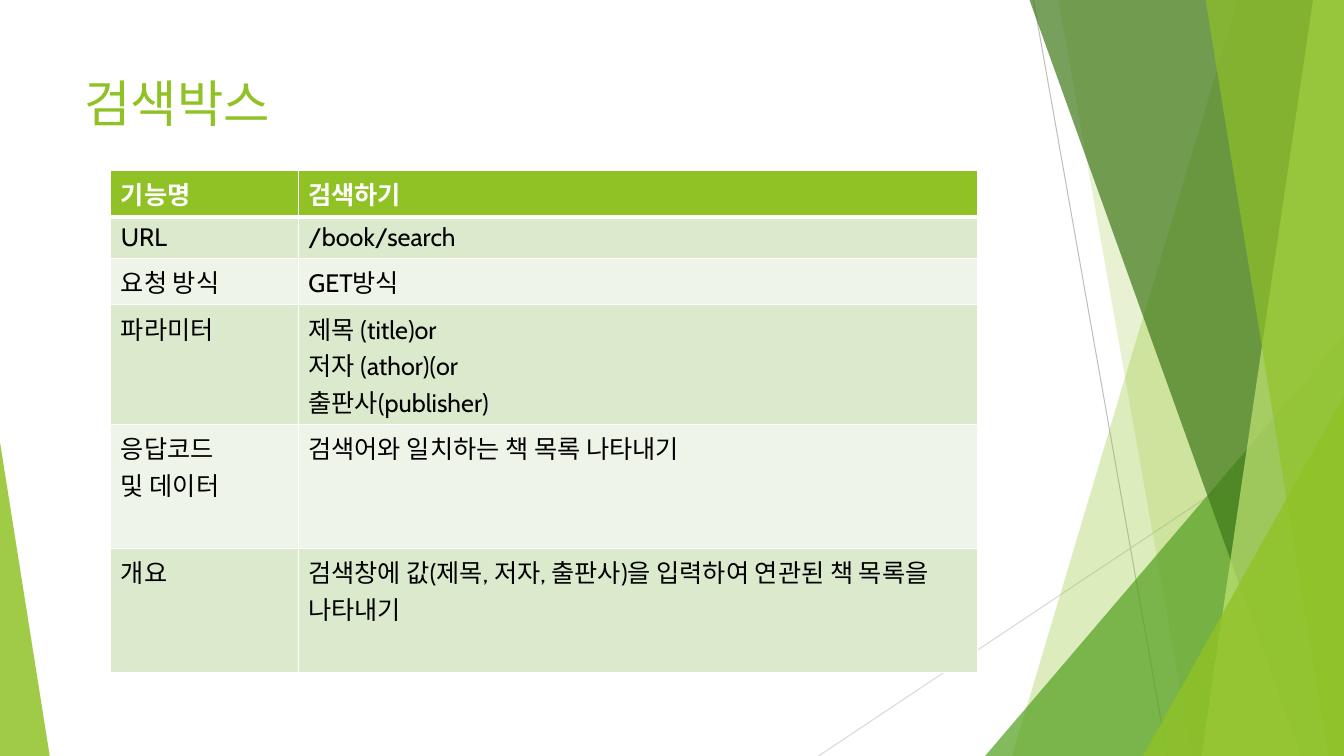
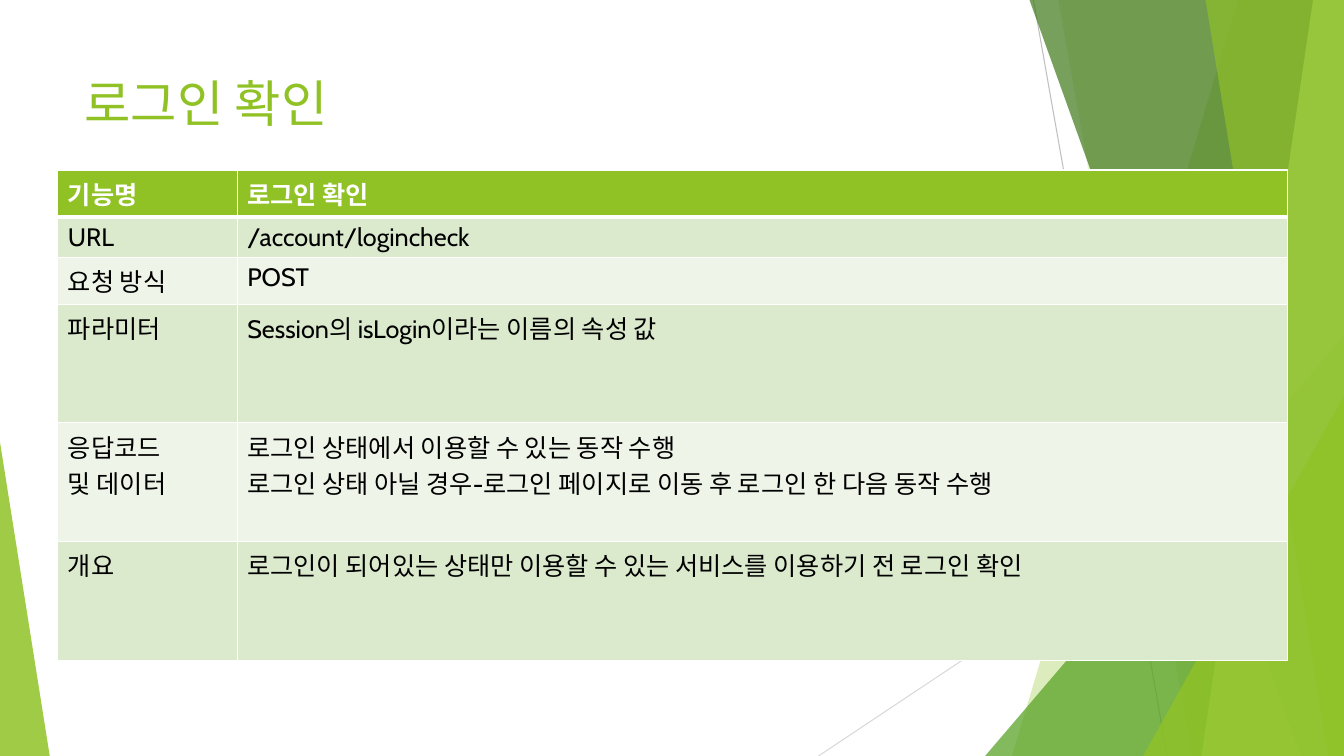
import pptx
import pptx.util
import pptx.dml.color
import pptx.enum.shapes
import pptx.oxml
import pptx.oxml.ns
import lxml.etree

hues = {
    "lime": "90C226", "leaf": "54A021", "pine": "3F7819", "mint": "C0E474",
    "dark": "DBE9CD", "pale": "EEF4E8", "white": "FFFFFF", "black": "000000",
    "grey": "BFBFBF", "mist": "D9D9D9",
}
rgb = {name: pptx.dml.color.RGBColor.from_string(code) for name, code in hues.items()}

deck = pptx.Presentation()
deck.slide_width = pptx.util.Inches(13.333)
deck.slide_height = pptx.util.Inches(7.5)
col = deck.slide_width / 100
row = deck.slide_height / 100

styles = {
    "title": {"name": "Cabin", "size": pptx.util.Pt(36), "bold": False},
    "head": {"name": "Cabin", "size": pptx.util.Pt(18), "bold": True},
    "body": {"name": "Cabin", "size": pptx.util.Pt(18), "bold": False},
}

lines = [
    (76.9, 0, 86.85, 100, "grey"),
    (100, 53.7, 60.9, 100, "mist"),
]
bands = [
    ("slant", 92.1, 75.3, "lime", 30),
    ("slant", 78.75, 88.7, "lime", 20),
    ("wedge", (73.3, 44.4, 26.7, 55.6), 1, "leaf", 72),
    ("slant", 76.6, 96.8, "pine", 70),
    ("slant", 97.7, 89.4, "mint", 70),
    ("slant", 89.7, 98.85, "lime", 65),
    ("wedge", (85.05, 52.4, 14.95, 47.6), 1, "lime", 80),
    ("wedge", (0, 58.5, 3.7, 41.5), 0, "lime", 85),
]

labels = ["기능명", "URL", "요청 방식", "파라미터", "응답코드\n및 데이터", "개요"]
pages = [
    {
        "title": "검색박스",
        "left": 8.25,
        "cols": [13.95, 50.55],
        "rows": [5.5, 5.5, 5.6, 14.4, 16.4, 16.4],
        "texts": [
            "검색하기",
            "/book/search",
            "GET방식",
            "제목 (title)or\n저자 (athor)(or\n출판사(publisher)",
            "검색어와 일치하는 책 목록 나타내기",
            "검색창에 값(제목, 저자, 출판사)을 입력하여 연관된 책 목록을 나타내기",
        ],
    },
    {
        "title": "로그인 확인",
        "left": 4.3,
        "cols": [13.35, 78.15],
        "rows": [5.2, 5.2, 5.2, 15.7, 15.7, 15.7],
        "texts": [
            "로그인 확인",
            "/account/logincheck",
            "POST",
            "Session의 isLogin이라는 이름의 속성 값",
            "로그인 상태에서 이용할 수 있는 동작 수행\n"
            "로그인 상태 아닐 경우-로그인 페이지로 이동 후 로그인 한 다음 동작 수행",
            "로그인이 되어있는 상태만 이용할 수 있는 서비스를 이용하기 전 로그인 확인",
        ],
    },
]


def place(left, top, width, height):
    return round(left * col), round(top * row), round(width * col), round(height * row)


def write(frame, text, style, hue):
    frame.text = text
    for para in frame.paragraphs:
        for key, value in styles[style].items():
            setattr(para.font, key, value)
        para.font.color.rgb = rgb[hue]


for page in pages:
    slide = deck.slides.add_slide(deck.slide_layouts[6])
    shapes = slide.shapes

    for left, top, right, base, hue in lines:
        line = shapes.add_connector(
            pptx.enum.shapes.MSO_CONNECTOR.STRAIGHT, *place(left, top, right, base))
        line.line.color.rgb = rgb[hue]
        line.line.width = pptx.util.Pt(0.75)
        lxml.etree.SubElement(line._element.spPr, pptx.oxml.ns.qn("a:effectLst"))

    for kind, first, second, hue, alpha in bands:
        if kind == "slant":
            form = shapes.build_freeform(round(first * col), 0)
            form.add_line_segments(
                [(round(x * col), round(y * row))
                 for x, y in ((100, 0), (100, 100), (second, 100))], close=True)
            band = form.convert_to_shape()
        else:
            band = shapes.add_shape(
                pptx.enum.shapes.MSO_SHAPE.ISOSCELES_TRIANGLE, *place(*first))
            band.adjustments[0] = second
        band.shadow.inherit = False
        band.line.fill.background()
        band.fill.solid()
        band.fill.fore_color.rgb = rgb[hue]
        tone = band._element.spPr.find(".//" + pptx.oxml.ns.qn("a:srgbClr"))
        lxml.etree.SubElement(tone, pptx.oxml.ns.qn("a:alpha"), val=str(alpha * 1000))

    grid = shapes.add_table(
        len(labels), 2,
        *place(page["left"], 22.5, sum(page["cols"]), sum(page["rows"]))).table
    for column, width in zip(grid.columns, page["cols"]):
        column.width = round(width * col)
    for y, pair in enumerate(zip(labels, page["texts"])):
        grid.rows[y].height = round(page["rows"][y] * row)
        for x, text in enumerate(pair):
            cell = grid.cell(y, x)
            props = cell._tc.get_or_add_tcPr()
            for side in "LRTB":
                thick = (y, side) in ((0, "B"), (1, "T"))
                edge = lxml.etree.SubElement(
                    props, pptx.oxml.ns.qn("a:ln" + side),
                    w=str(pptx.util.Pt(3 if thick else 1)))
                fill = lxml.etree.SubElement(edge, pptx.oxml.ns.qn("a:solidFill"))
                lxml.etree.SubElement(
                    fill, pptx.oxml.ns.qn("a:srgbClr"), val=hues["white"])
            cell.fill.solid()
            cell.fill.fore_color.rgb = rgb["lime" if y == 0 else ("pale", "dark")[y % 2]]
            write(cell.text_frame, text, "body" if y else "head", "black" if y else "white")

    title = shapes.add_textbox(*place(5.55, 8.9, 70.5, 10.3)).text_frame
    title.word_wrap = True
    write(title, page["title"], "title", "lime")

deck.save("out.pptx")
